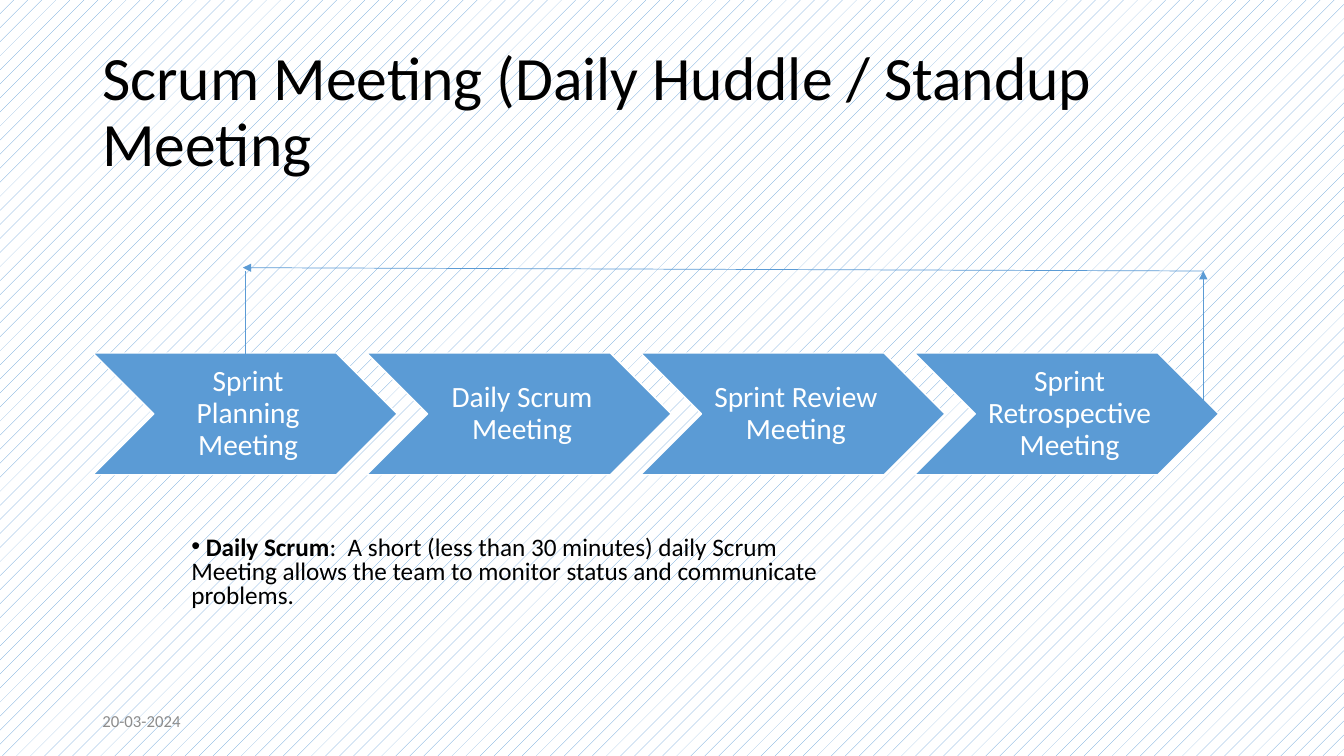
import pptx
import pptx.util
import pptx.dml.color
import pptx.enum.dml
import pptx.enum.shapes
import pptx.enum.text
import pptx.oxml
import pptx.oxml.ns
import lxml.etree
from dataclasses import dataclass

Pt = pptx.util.Pt
RGB = pptx.dml.color.RGBColor
ANCHOR = pptx.enum.text.MSO_ANCHOR
qn = pptx.oxml.ns.qn


@dataclass(frozen=True)
class Theme:
    font: str = "Calibri"
    blue: RGB = RGB(0x5B, 0x9B, 0xD5)
    white: RGB = RGB(0xFF, 0xFF, 0xFF)
    black: RGB = RGB(0, 0, 0)
    gray: RGB = RGB(0x8C, 0x8C, 0x8C)
    title_size: int = 44
    step_size: int = 21
    body_size: int = 18
    date_size: int = 12


theme = Theme()


def add_run(paragraph, text, size, color, bold=False):
    run = paragraph.add_run()
    run.text = text
    run.font.name = theme.font
    run.font.size = Pt(size)
    run.font.bold = bold
    run.font.color.rgb = color


def add_text_box(left, top, width, height, anchor):
    frame = slide.shapes.add_textbox(Pt(left), Pt(top), Pt(width), Pt(height)).text_frame
    frame.word_wrap = True
    frame.vertical_anchor = anchor
    return frame.paragraphs[0]


presentation = pptx.Presentation()
presentation.slide_width = Pt(960)
presentation.slide_height = Pt(540)
slide = presentation.slides.add_slide(presentation.slide_layouts[6])

# Patterned background
background = slide.background.fill
background.patterned()
background.pattern = pptx.enum.dml.MSO_PATTERN.PERCENT_5
background.fore_color.rgb = theme.blue
background.back_color.rgb = theme.white

# Title
paragraph = add_text_box(66, 28.75, 828, 104.4, ANCHOR.MIDDLE)
paragraph.line_spacing = 0.9
add_run(paragraph, "Scrum Meeting (Daily Huddle / Standup Meeting", theme.title_size, theme.black)

# Chain of meetings
meetings = ["Sprint Planning Meeting", "Daily Scrum Meeting",
            "Sprint Review Meeting", "Sprint Retrospective Meeting"]
for index, meeting in enumerate(meetings):
    chevron = slide.shapes.add_shape(pptx.enum.shapes.MSO_SHAPE.CHEVRON,
                                     Pt(66.4 + index * 195.6), Pt(252.2), Pt(217.4), Pt(86.9))
    chevron.shadow.inherit = False
    chevron.fill.solid()
    chevron.fill.fore_color.rgb = theme.blue
    chevron.line.color.rgb = theme.white
    chevron.line.width = Pt(1)
    frame = chevron.text_frame
    frame.word_wrap = True
    frame.vertical_anchor = ANCHOR.MIDDLE
    frame.margin_left = Pt(6.5)
    frame.margin_top = frame.margin_right = frame.margin_bottom = Pt(2.2)
    paragraph = frame.paragraphs[0]
    paragraph.alignment = pptx.enum.text.PP_ALIGN.CENTER
    paragraph.line_spacing = 0.9
    add_run(paragraph, meeting, theme.step_size, theme.white)

# Date
paragraph = add_text_box(66, 500.5, 216, 28.75, ANCHOR.MIDDLE)
add_run(paragraph, "20-03-2024", theme.date_size, theme.gray)

# Loop from the last meeting back to the first
loop = [(859.5, 296, 859.5, 193.6), (859.5, 193.6, 173.5, 191.2), (175.5, 193.6, 175.5, 272)]
for start_x, start_y, end_x, end_y in loop:
    arrow = slide.shapes.add_connector(pptx.enum.shapes.MSO_CONNECTOR.STRAIGHT,
                                       Pt(start_x), Pt(start_y), Pt(end_x), Pt(end_y))
    arrow.line.color.rgb = theme.blue
    arrow.line.width = Pt(0.5)
    lxml.etree.SubElement(arrow.line._get_or_add_ln(), qn("a:tailEnd"), type="triangle")
    lxml.etree.SubElement(arrow._element.spPr, qn("a:effectLst"))

# Daily Scrum note
paragraph = add_text_box(129.6, 380, 480, 60, ANCHOR.TOP)
paragraph.line_spacing = 0.8
properties = paragraph._p.get_or_add_pPr()
lxml.etree.SubElement(properties, qn("a:buFont"), typeface="Arial")
lxml.etree.SubElement(properties, qn("a:buChar"), char="•")
add_run(paragraph, " Daily Scrum", theme.body_size, theme.black, bold=True)
add_run(paragraph, ":  A short (less than 30 minutes) daily Scrum Meeting allows the team to "
        "monitor status and communicate problems.", theme.body_size, theme.black)

presentation.save("out.pptx")
